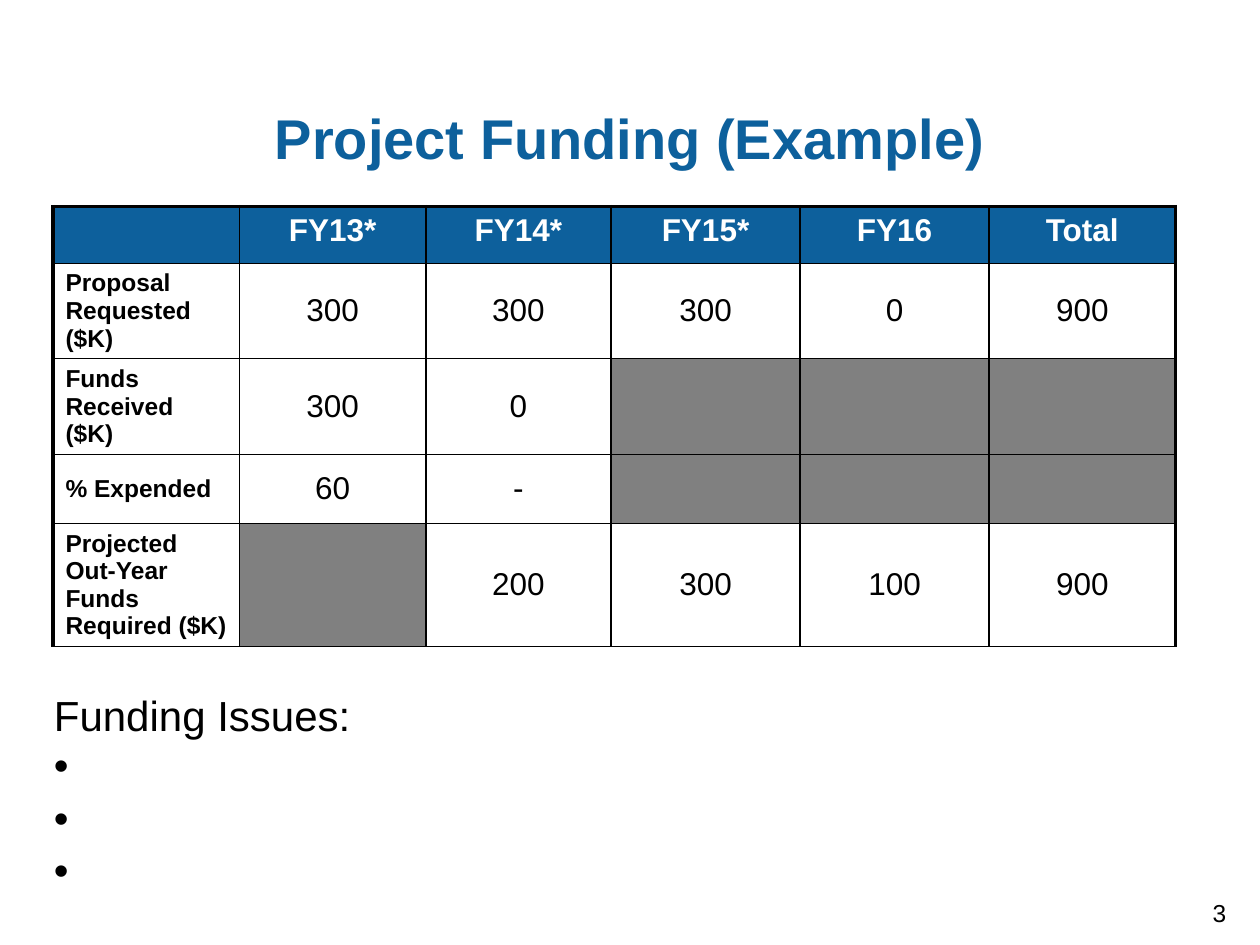
from lxml import etree
from pptx import Presentation
from pptx.dml.color import RGBColor
from pptx.enum.text import MSO_ANCHOR, PP_ALIGN
from pptx.oxml.ns import qn
from pptx.util import Inches, Pt

LEFT, CENTER, RIGHT = PP_ALIGN.LEFT, PP_ALIGN.CENTER, PP_ALIGN.RIGHT
TOP, MIDDLE = MSO_ANCHOR.TOP, MSO_ANCHOR.MIDDLE
THEME = dict(font="Arial", blue="0D609C", white="FFFFFF", black="000000", gray="808080",
             title=32, issues=24, cell=18, label=14, thin=1, thick=2.25)


def write(p, text, size, color="black", bold=False, align=LEFT):
    p.alignment = align
    r = p.add_run()
    r.text = text
    formats = dict(name=THEME["font"], size=Pt(THEME[size]), bold=bold)
    for name, value in formats.items():
        setattr(r.font, name, value)
    r.font.color.rgb = RGBColor.from_string(THEME[color])


def add_border(cell, side, weight):
    ln = etree.SubElement(cell._tc.get_or_add_tcPr(), qn(f"a:ln{side}"), w=str(Pt(THEME[weight])))
    fill = etree.SubElement(ln, qn("a:solidFill"))
    etree.SubElement(fill, qn("a:srgbClr"), val=THEME["black"])


prs = Presentation()
prs.slide_width, prs.slide_height = Inches(10), Inches(7.5)
s = prs.slides.add_slide(prs.slide_layouts[5])

# Title
title = s.shapes.title
title.left, title.top, title.width, title.height = map(Inches, (0.5, 0.67, 9, 0.83))
title.text_frame.vertical_anchor = MIDDLE
write(title.text_frame.paragraphs[0], "Project Funding (Example)", "title", "blue", True, CENTER)

# Funding table: None marks a cell that does not apply
rows = [
    ["", "FY13*", "FY14*", "FY15*", "FY16", "Total"],
    ["Proposal Requested ($K)", "300", "300", "300", "0", "900"],
    ["Funds Received ($K)", "300", "0", None, None, None],
    ["% Expended", "60", "-", None, None, None],
    ["Projected Out-Year Funds Required ($K)", None, "200", "300", "100", "900"],
]
col_widths = [1.48, 1.48, 1.47, 1.5, 1.5, 1.48]
row_heights = [0.45, 0.75, 0.76, 0.55, 0.97]
last = len(col_widths) - 1
table = s.shapes.add_table(len(rows), len(col_widths), Inches(0.42), Inches(1.64),
                           Inches(sum(col_widths)), Inches(sum(row_heights))).table
table.horz_banding = False
for column, width in zip(table.columns, col_widths):
    column.width = Inches(width)
for row, height in zip(table.rows, row_heights):
    row.height = Inches(height)

for i, values in enumerate(rows):
    for j, value in enumerate(values):
        cell = table.cell(i, j)
        header, label = i == 0, j == 0
        # Thick outline on the left, right and top
        for side, outer in (("L", label), ("R", j == last), ("T", header), ("B", False)):
            add_border(cell, side, "thick" if outer else "thin")
        cell.fill.solid()
        fill = "blue" if header else "gray" if value is None else "white"
        cell.fill.fore_color.rgb = RGBColor.from_string(THEME[fill])
        cell.vertical_anchor = TOP if header else MIDDLE
        if value:
            write(cell.text_frame.paragraphs[0], value, "label" if label else "cell",
                  "white" if header else "black", header or label, LEFT if label else CENTER)

# Slide number
tf = s.shapes.add_textbox(*map(Inches, (7.5, 7.08, 2.33, 0.52))).text_frame
tf.word_wrap = True
write(tf.paragraphs[0], "3", "label", align=RIGHT)

# Funding issues with three open bullets
tf = s.shapes.add_textbox(*map(Inches, (0.33, 5.42, 8.33, 1.72))).text_frame
tf.word_wrap = True
write(tf.paragraphs[0], "Funding Issues:", "issues")
indent = Inches(0.31)
for _ in range(3):
    p = tf.add_paragraph()
    p.space_before = Pt(1)
    pPr = p._p.get_or_add_pPr()
    pPr.set("marL", str(indent))
    pPr.set("indent", str(-indent))
    etree.SubElement(pPr, qn("a:buFont"), typeface=THEME["font"])
    etree.SubElement(pPr, qn("a:buChar"), char="•")
    write(p, " ", "issues")

prs.save("out.pptx")
